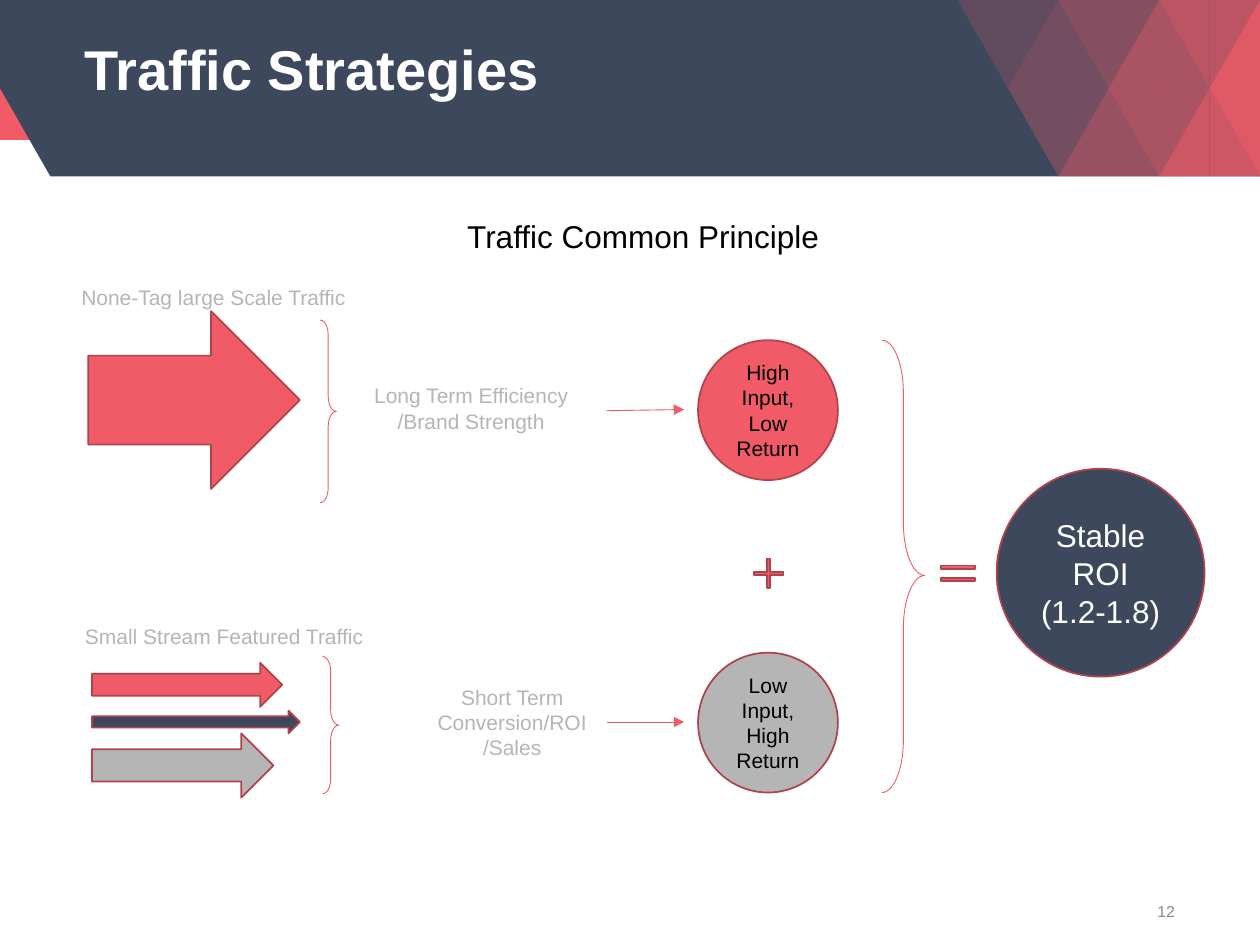
from dataclasses import dataclass

from lxml import etree
from pptx import Presentation
from pptx.dml.color import RGBColor
from pptx.enum.shapes import MSO_CONNECTOR, MSO_SHAPE
from pptx.enum.text import MSO_ANCHOR, PP_ALIGN
from pptx.oxml.ns import qn
from pptx.util import Inches, Pt

ARROW, BRACE = MSO_SHAPE.RIGHT_ARROW, MSO_SHAPE.RIGHT_BRACE
CIRCLE, PLUS, EQUAL = MSO_SHAPE.OVAL, MSO_SHAPE.MATH_PLUS, MSO_SHAPE.MATH_EQUAL
RECTANGLE, STRAIGHT = MSO_SHAPE.RECTANGLE, MSO_CONNECTOR.STRAIGHT
LEFT, CENTER = PP_ALIGN.LEFT, PP_ALIGN.CENTER
TOP, MIDDLE = MSO_ANCHOR.TOP, MSO_ANCHOR.MIDDLE

CORAL, NAVY, GRAY, OUTLINE = "F15B67", "3D485D", "B5B5B5", "B2434C"
WHITE, BLACK, PAGE_GRAY = "FFFFFF", "000000", "85898F"

COLUMNS, ROWS = 100, 75
SLIDE_WIDTH, SLIDE_HEIGHT = Inches(10), Inches(7.5)
CELL = SLIDE_WIDTH // COLUMNS
BANNER_ROWS = 13.8
FACET_ROWS = BANNER_ROWS / 2
FACET_COLUMNS = 3.98
FACET_OPACITIES = ((20, 30, 40, 60, 70, 90), (None, 30, 50, 60, 80, 90))


@dataclass(frozen=True)
class Area:
    column: float
    row: float
    columns: float
    rows: float

    def lengths(self) -> list[int]:
        return [round(n * CELL) for n in (self.column, self.row, self.columns, self.rows)]


@dataclass(frozen=True)
class Label:
    area: Area
    lines: tuple[str, ...]
    size: float = 12
    color: str = GRAY
    bold: bool = False
    align: int = CENTER
    anchor: int = TOP
    inset: bool = True
    wrap: bool = True
    spacing: float | None = None


@dataclass(frozen=True)
class Figure:
    kind: int
    area: Area
    fill: str | None = CORAL
    line: str | None = OUTLINE
    weight: float = 1
    adjustments: tuple[float, ...] = ()
    lines: tuple[str, ...] = ()
    size: float = 12
    color: str = BLACK


def rgb(color: str) -> RGBColor:
    return RGBColor.from_string(color)


def paint(shape, fill: str | None, line: str | None = None, weight: float = 1) -> None:
    shape.shadow.inherit = False
    if fill:
        shape.fill.solid()
        shape.fill.fore_color.rgb = rgb(fill)
    else:
        shape.fill.background()
    if line:
        shape.line.color.rgb = rgb(line)
        shape.line.width = Pt(weight)
    else:
        shape.line.fill.background()


def write(frame, lines: tuple[str, ...], size: float, color: str,
          bold: bool = False, align: int = CENTER, spacing: float | None = None) -> None:
    font_format = {"name": "Arial", "size": Pt(size), "bold": bold}
    for index, text in enumerate(lines):
        paragraph = frame.add_paragraph() if index else frame.paragraphs[0]
        paragraph.alignment = align
        if spacing:
            paragraph.line_spacing = Pt(spacing)
        run = paragraph.add_run()
        run.text = text
        for name, value in font_format.items():
            setattr(run.font, name, value)
        run.font.color.rgb = rgb(color)


def draw_figure(slide, figure: Figure) -> None:
    shape = slide.shapes.add_shape(figure.kind, *figure.area.lengths())
    paint(shape, figure.fill, figure.line, figure.weight)
    for index, value in enumerate(figure.adjustments):
        shape.adjustments[index] = value
    if figure.lines:
        frame = shape.text_frame
        frame_format = {"word_wrap": True, "vertical_anchor": MIDDLE}
        for name, value in frame_format.items():
            setattr(frame, name, value)
        write(frame, figure.lines, figure.size, figure.color)


def draw_label(slide, label: Label) -> None:
    frame = slide.shapes.add_textbox(*label.area.lengths()).text_frame
    frame_format = {"word_wrap": label.wrap, "vertical_anchor": label.anchor}
    if not label.inset:
        frame_format |= {f"margin_{side}": 0 for side in ("left", "right", "top", "bottom")}
    for name, value in frame_format.items():
        setattr(frame, name, value)
    write(frame, label.lines, label.size, label.color, label.bold, label.align, label.spacing)


def draw_polygon(slide, points: list[tuple[float, float]], fill: str, opacity: int = 100) -> None:
    builder = slide.shapes.build_freeform(*points[0], scale=CELL)
    builder.add_line_segments(points[1:], close=True)
    shape = builder.convert_to_shape()
    paint(shape, fill)
    if opacity < 100:
        color = shape.fill._xPr.find(qn("a:solidFill"))[0]
        etree.SubElement(color, qn("a:alpha"), val=str(opacity * 1000))


def draw_facets(slide) -> None:
    for band, opacities in enumerate(FACET_OPACITIES):
        top, bottom = band * FACET_ROWS, (band + 1) * FACET_ROWS
        for index, opacity in enumerate(opacities):
            if opacity is None:
                continue
            middle = COLUMNS - (len(opacities) - 1 - index) * FACET_COLUMNS
            points_down = (band + index) % 2 == 0
            base, apex = (top, bottom) if points_down else (bottom, top)
            for side in (-1, 1):
                corner = middle + side * FACET_COLUMNS
                if corner <= COLUMNS:
                    half = [(middle, apex), (middle, base), (corner, base)]
                    draw_polygon(slide, half, CORAL, opacity)


def draw_pointer(slide, start: tuple[float, float], end: tuple[float, float]) -> None:
    ends = [round(n * CELL) for n in (*start, *end)]
    pointer = slide.shapes.add_connector(STRAIGHT, *ends)
    pointer.line.color.rgb = rgb(CORAL)
    pointer.line.width = Pt(0.5)
    etree.SubElement(pointer.line._get_or_add_ln(), qn("a:tailEnd"), type="triangle")
    etree.SubElement(pointer._element.spPr, qn("a:effectLst"))


def brace(area: Area, curl: float, tip: float = 0.5) -> Figure:
    return Figure(BRACE, area, None, CORAL, 0.5, (curl, tip))


FIGURES = (
    Figure(ARROW, Area(7, 24.7, 16.8, 14.1)),
    Figure(ARROW, Area(7.3, 52.6, 15.1, 3.5)),
    Figure(ARROW, Area(7.3, 56.4, 16.5, 1.8), NAVY),
    Figure(ARROW, Area(7.3, 58.2, 14.4, 5.1), GRAY),
    brace(Area(25.4, 25.4, 1.3, 14.5), 0.91),
    brace(Area(25.6, 52.1, 1.3, 10.9), 0.91),
    Figure(CIRCLE, Area(55.4, 27, 11.1, 11.1), lines=("High Input,", "Low Return")),
    Figure(CIRCLE, Area(55.4, 51.8, 11.1, 11.1), GRAY, lines=("Low Input,", "High Return")),
    Figure(PLUS, Area(59.4, 43.9, 3.2, 3.2), adjustments=(0.07,)),
    Figure(EQUAL, Area(74.2, 44.5, 3.7, 2), adjustments=(0.13, 0.36)),
    brace(Area(70, 27, 3.4, 35.9), 1.23, 0.52),
    Figure(CIRCLE, Area(79.1, 37.2, 16.5, 16.5), NAVY,
           lines=("Stable ROI", "(1.2-1.8)"), size=18, color=WHITE),
)

LABELS = (
    Label(Area(6.7, 1.9, 86.6, 6.5), ("Traffic Strategies",), 32, WHITE, True, LEFT,
          MIDDLE, inset=False, spacing=42),
    Label(Area(90.2, 69.6, 4.7, 5.4), ("12",), 9, PAGE_GRAY, anchor=MIDDLE, inset=False),
    Label(Area(1.4, 22.1, 31.1, 3), ("None-Tag large Scale Traffic",)),
    Label(Area(4, 49, 27.6, 3), ("Small Stream Featured Traffic",)),
    Label(Area(27.8, 29.9, 19.2, 5), ("Long Term Efficiency", "/Brand Strength")),
    Label(Area(33.7, 53.8, 13.9, 7.1), ("Short Term Conversion/ROI/Sales",)),
    Label(Area(36.1, 16.7, 30.2, 4), ("Traffic Common Principle",), 18, BLACK,
          align=LEFT, wrap=False),
)

POINTERS = (((48.1, 32.6), (54.3, 32.5)), ((48.2, 57.3), (54.3, 57.3)))


def main() -> None:
    deck = Presentation()
    deck.slide_width, deck.slide_height = SLIDE_WIDTH, SLIDE_HEIGHT
    slide = deck.slides.add_slide(deck.slide_layouts[6])
    draw_figure(slide, Figure(RECTANGLE, Area(0, 0, COLUMNS, 11.1), line=None))
    banner = [(0, 0), (COLUMNS, 0), (COLUMNS, BANNER_ROWS), (4, BANNER_ROWS), (0, FACET_ROWS)]
    draw_polygon(slide, banner, NAVY)
    draw_facets(slide)
    for figure in FIGURES:
        draw_figure(slide, figure)
    for start, end in POINTERS:
        draw_pointer(slide, start, end)
    for label in LABELS:
        draw_label(slide, label)
    deck.save("out.pptx")


if __name__ == "__main__":
    main()
